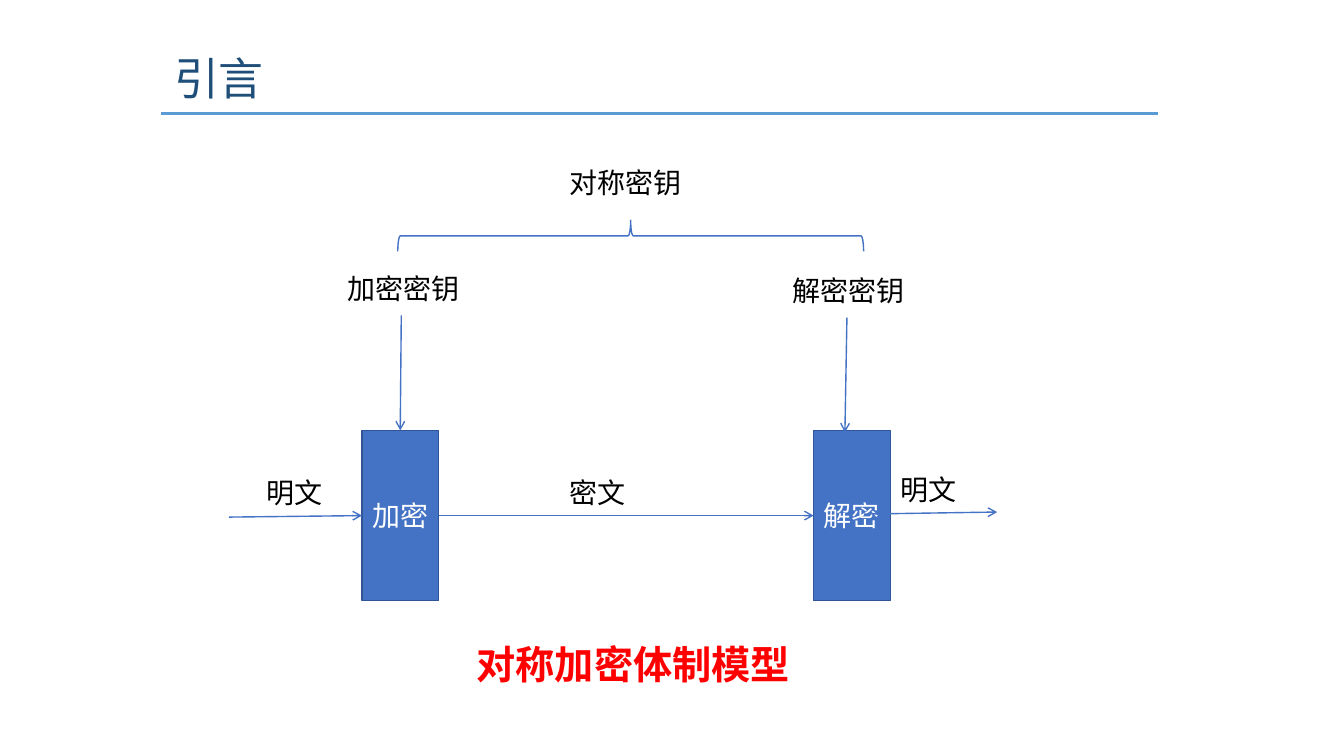
from typing import NamedTuple, Optional

import pptx
import pptx.dml.color
import pptx.enum.shapes
import pptx.enum.text
import pptx.oxml
import pptx.oxml.ns
import pptx.util
from pptx.util import Inches

SHAPE = pptx.enum.shapes.MSO_SHAPE
ALIGN = pptx.enum.text.PP_ALIGN
ANCHOR = pptx.enum.text.MSO_ANCHOR
TOP, LEFT, RIGHT = 0, 1, 3

COLORS = {
    "title": "1F4E79",
    "rule": "5B9BD5",
    "flow": "4472C4",
    "box_edge": "2F5597",
    "box_text": "FFFFFF",
    "label": "000000",
    "caption": "FF0000",
}


class Label(NamedTuple):
    text: str
    left: float
    top: float
    width: float


class Arrow(NamedTuple):
    start: tuple[float, float]
    end: tuple[float, float]
    source: Optional[tuple[str, int]] = None
    target: Optional[tuple[str, int]] = None


BOX_TOP, BOX_WIDTH, BOX_HEIGHT = 4.27, 0.76, 1.69
BOX_LEFTS = {"加密": 3.59, "解密": 8.07}

LABELS = [
    Label("明文", 2.54, 4.67, 0.92),
    Label("密文", 5.55, 4.67, 0.92),
    Label("明文", 8.83, 4.64, 0.92),
    Label("加密密钥", 3.35, 2.64, 1.6),
    Label("解密密钥", 7.76, 2.66, 1.6),
    Label("对称密钥", 5.55, 1.59, 1.6),
]

ARROWS = [
    Arrow((2.27, 5.13), (3.59, 5.11), target=("加密", LEFT)),
    Arrow((4.35, 5.13), (8.07, 5.13), source=("加密", RIGHT), target=("解密", LEFT)),
    Arrow((8.57, 5.1), (9.89, 5.08)),
    Arrow((3.98, 3.13), (3.97, 4.27), target=("加密", TOP)),
    Arrow((8.4, 3.15), (8.38, 4.29)),
]


def rgb(name: str) -> pptx.dml.color.RGBColor:
    return pptx.dml.color.RGBColor.from_string(COLORS[name])


def set_line(line, color: str, width: float = 1) -> None:
    line.color.rgb = rgb(color)
    line.width = pptx.util.Pt(width)


def write(frame, text: str, *, color: str = "label", size: float = 20,
          bold: bool = False, align=ALIGN.LEFT, anchor=ANCHOR.TOP):
    frame.word_wrap = True
    frame.vertical_anchor = anchor
    paragraph = frame.paragraphs[0]
    paragraph.alignment = align
    run = paragraph.add_run()
    run.text = text
    run.font.name = "Arial"
    run.font.size = pptx.util.Pt(size)
    run.font.bold = bold
    run.font.color.rgb = rgb(color)
    return run


def add_label(slide, label: Label, height: float = 0.44, **style):
    box = slide.shapes.add_textbox(
        Inches(label.left), Inches(label.top), Inches(label.width), Inches(height))
    return box.text_frame, write(box.text_frame, label.text, **style)


def add_line(slide, start: tuple[float, float], end: tuple[float, float],
             color: str, width: float = 1):
    line = slide.shapes.add_connector(
        pptx.enum.shapes.MSO_CONNECTOR.STRAIGHT,
        *(Inches(value) for value in (*start, *end)))
    set_line(line.line, color, width)
    properties = line._element.spPr
    properties.append(pptx.oxml.parse_xml(
        f'<a:effectLst {pptx.oxml.ns.nsdecls("a")}/>'))
    return line


def add_arrow(slide, arrow: Arrow, boxes: dict) -> None:
    line = add_line(slide, arrow.start, arrow.end, "flow")
    line.line._get_or_add_ln().append(pptx.oxml.parse_xml(
        f'<a:tailEnd {pptx.oxml.ns.nsdecls("a")} type="arrow"/>'))
    if arrow.source:
        name, side = arrow.source
        line.begin_connect(boxes[name], side)
    if arrow.target:
        name, side = arrow.target
        line.end_connect(boxes[name], side)


def add_box(slide, text: str, left: float):
    box = slide.shapes.add_shape(
        SHAPE.RECTANGLE, Inches(left), Inches(BOX_TOP),
        Inches(BOX_WIDTH), Inches(BOX_HEIGHT))
    box.shadow.inherit = False
    box.fill.solid()
    box.fill.fore_color.rgb = rgb("flow")
    set_line(box.line, "box_edge")
    write(box.text_frame, text, color="box_text",
          align=ALIGN.CENTER, anchor=ANCHOR.MIDDLE)
    return box


def add_title(slide) -> None:
    frame, run = add_label(slide, Label("引言", 1.73, 0.55, 4), 0.53,
                           color="title", size=32)
    frame.margin_left = frame.margin_top = 0
    frame.margin_right = frame.margin_bottom = 0
    frame.paragraphs[0].line_spacing = 0.93
    run.font._element.set("spc", "-20")
    run.font._element.insert(0, pptx.oxml.parse_xml(
        f'<a:ln {pptx.oxml.ns.nsdecls("a")} w="11684"><a:solidFill>'
        f'<a:srgbClr val="{COLORS["title"]}"/></a:solidFill></a:ln>'))
    add_line(slide, (1.6, 1.13), (11.49, 1.13), "rule", 2.28)


def add_key_brace(slide) -> None:
    brace = slide.shapes.add_shape(
        SHAPE.LEFT_BRACE, Inches(6.1), Inches(0.03), Inches(0.31), Inches(4.62))
    brace.rotation = 90
    brace.shadow.inherit = False
    brace.fill.background()
    set_line(brace.line, "flow")


def main() -> None:
    deck = pptx.Presentation()
    deck.slide_width, deck.slide_height = Inches(13.33), Inches(7.5)
    slide = deck.slides.add_slide(deck.slide_layouts[6])

    # Title and rule
    add_title(slide)

    # Encryption and decryption with the flow between them
    boxes = {text: add_box(slide, text, left) for text, left in BOX_LEFTS.items()}
    for arrow in ARROWS:
        add_arrow(slide, arrow, boxes)

    # Shared key and labels
    add_key_brace(slide)
    for label in LABELS:
        add_label(slide, label)

    # Caption
    add_label(slide, Label("对称加密体制模型", 3.97, 6.3, 4.62), 0.57,
              color="caption", size=28, bold=True, align=ALIGN.CENTER)

    deck.save("out.pptx")


if __name__ == "__main__":
    main()
